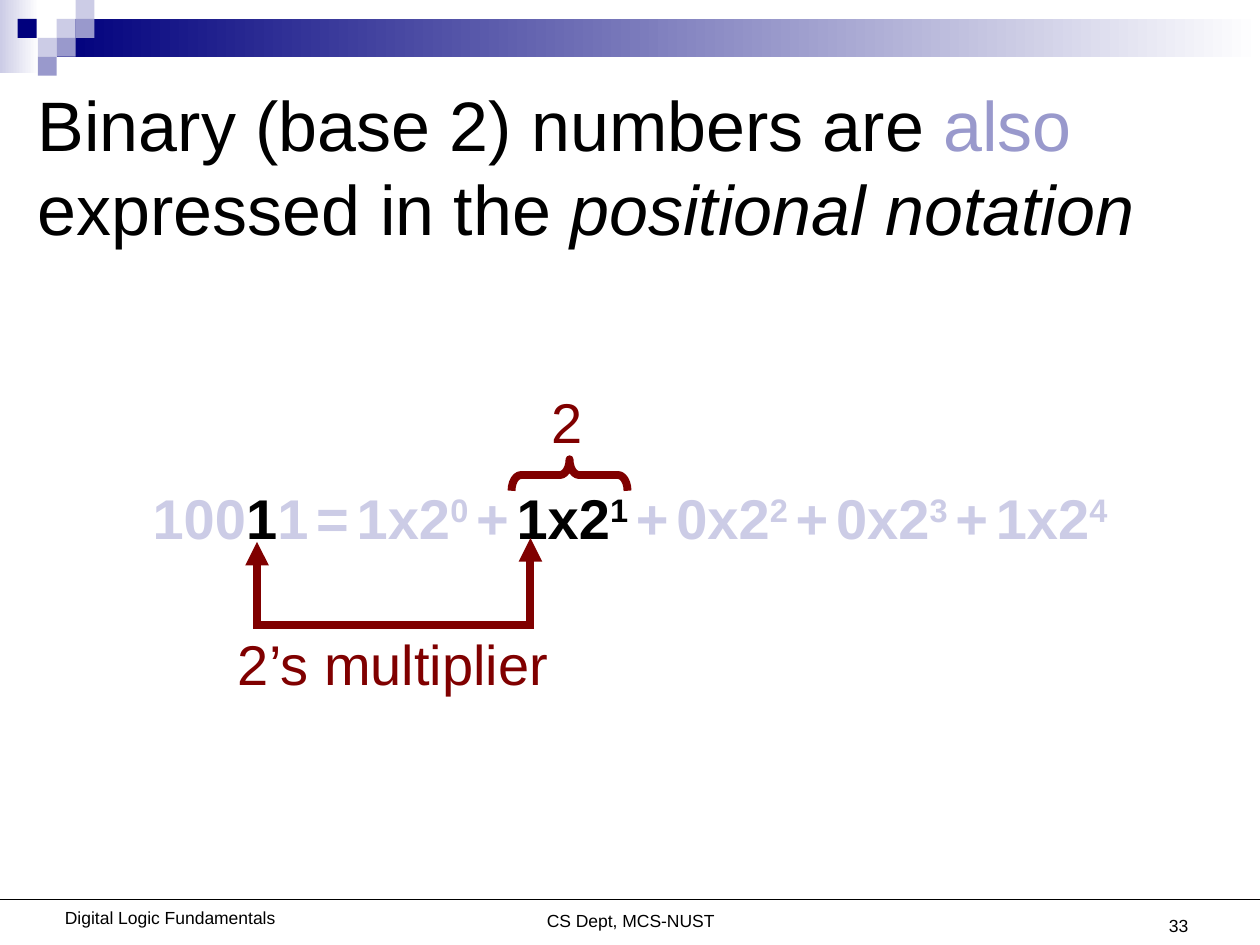
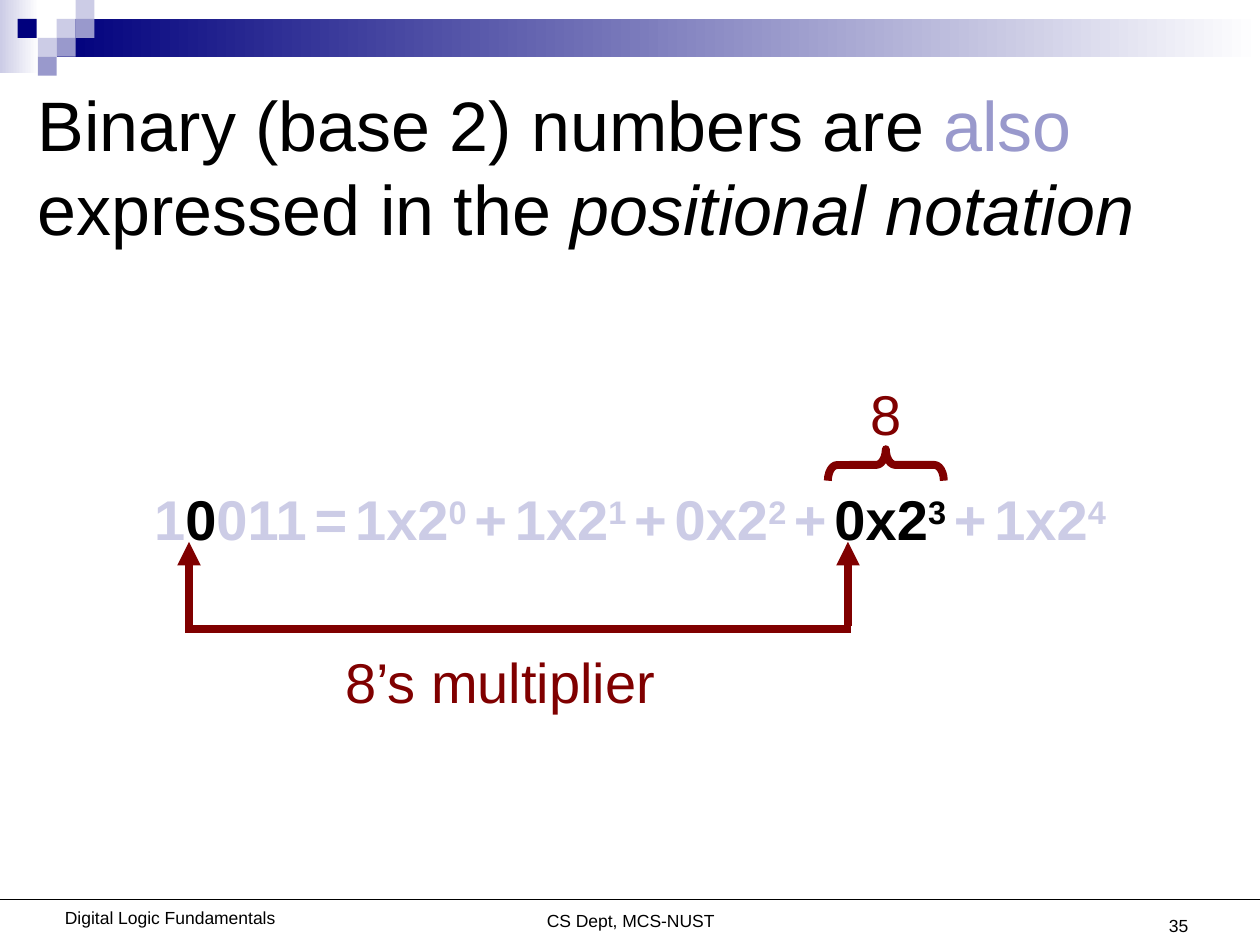
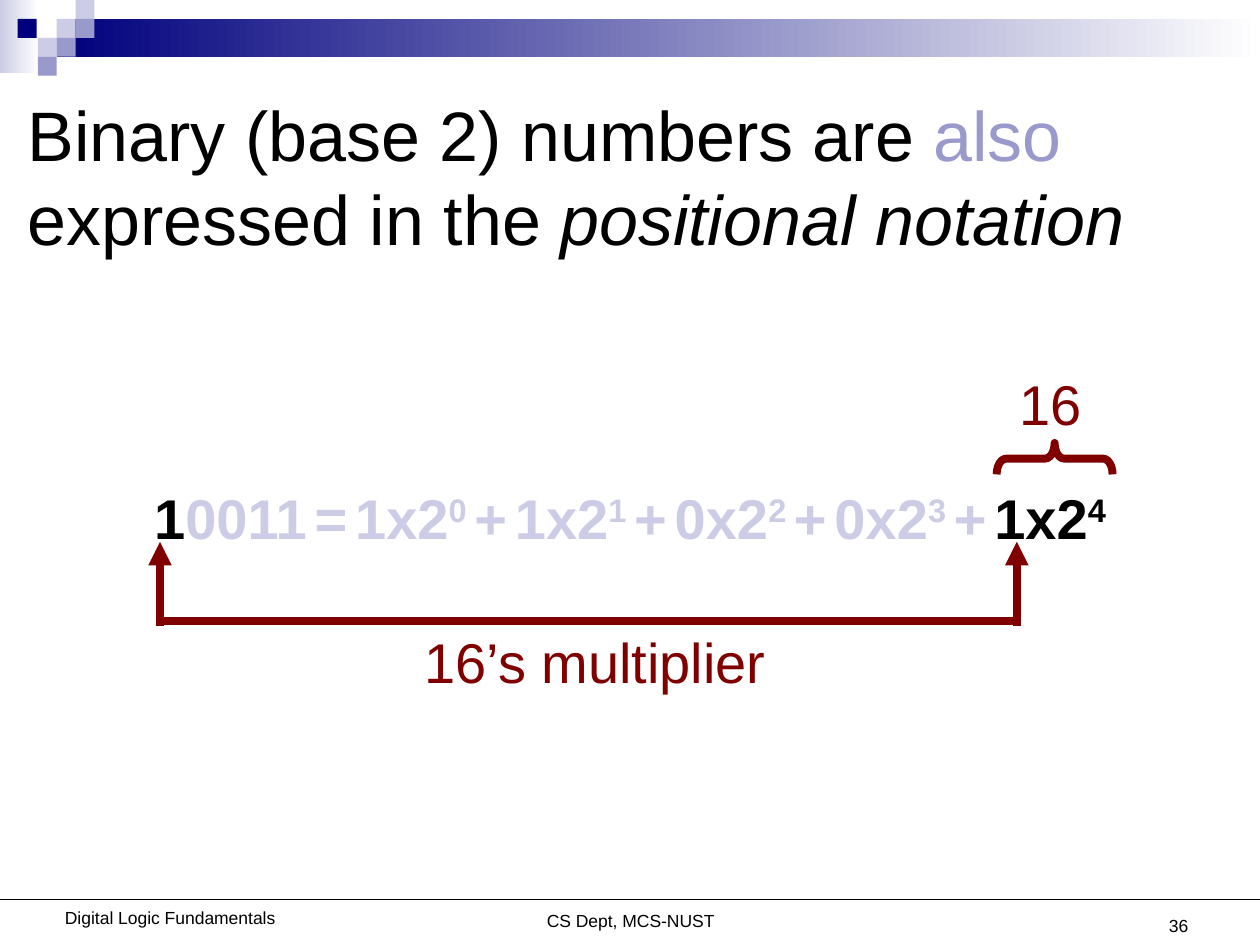
from dataclasses import dataclass

from lxml import etree
from pptx import Presentation
from pptx.dml.color import RGBColor
from pptx.enum.shapes import MSO_CONNECTOR, MSO_SHAPE
from pptx.enum.text import MSO_ANCHOR, MSO_AUTO_SIZE, PP_ALIGN
from pptx.oxml.ns import qn
from pptx.util import Inches, Pt

LEFT, CENTER, RIGHT = PP_ALIGN.LEFT, PP_ALIGN.CENTER, PP_ALIGN.RIGHT
TOP, MIDDLE, BOTTOM = MSO_ANCHOR.TOP, MSO_ANCHOR.MIDDLE, MSO_ANCHOR.BOTTOM
RECT, BRACE = MSO_SHAPE.RECTANGLE, MSO_SHAPE.LEFT_BRACE
STRAIGHT = MSO_CONNECTOR.STRAIGHT
NO_AUTOFIT = MSO_AUTO_SIZE.NONE


@dataclass(frozen=True)
class Theme:
    font: str = "Arial"
    text: RGBColor = RGBColor(0, 0, 0)
    white: RGBColor = RGBColor(0xFF, 0xFF, 0xFF)
    navy: RGBColor = RGBColor(0x00, 0x00, 0x7D)
    accent: RGBColor = RGBColor(0x99, 0x99, 0xCC)
    pale: RGBColor = RGBColor(0xCC, 0xCC, 0xE6)
    mark: RGBColor = RGBColor(0x80, 0, 0)
    title_size: int = 40
    math_size: int = 32
    gap_size: int = 16
    footer_size: int = 10
    mark_width: float = 4.5


T = Theme()


def write(sp, runs, box, size, color=T.text, bold=False, align=LEFT, anchor=TOP, wrap=True):
    """Place sp and fill it; runs is a string or a list of (text, overrides)."""
    sp.left, sp.top, sp.width, sp.height = [Inches(v) for v in box]
    tf = sp.text_frame
    tf.auto_size, tf.word_wrap, tf.vertical_anchor = NO_AUTOFIT, wrap, anchor
    p = tf.paragraphs[0]
    p.alignment = align
    for text, fmt in [(runs, {})] if isinstance(runs, str) else runs:
        r = p.add_run()
        r.text = text
        r.font.name, r.font.bold = T.font, bold
        r.font.size = Pt(fmt.get("size", size))
        r.font.color.rgb = fmt.get("color", color)
        if fmt.get("italic"):
            r.font.italic = True
        if fmt.get("sup"):
            r._r.get_or_add_rPr().set("baseline", "30000")


def add_line(s, x1, y1, x2, y2, color, width, arrow=False):
    line = s.shapes.add_connector(STRAIGHT, Inches(x1), Inches(y1), Inches(x2), Inches(y2))
    line.line.color.rgb, line.line.width = color, Pt(width)
    if arrow:
        etree.SubElement(line.line._get_or_add_ln(), qn("a:tailEnd"), type="triangle")
    etree.SubElement(line.element.spPr, qn("a:effectLst"))


prs = Presentation()
prs.slide_width, prs.slide_height = Inches(10), Inches(7.5)
layout = prs.slide_layouts[5]
for ph in list(layout.placeholders)[1:]:
    ph.element.getparent().remove(ph.element)

# Shared band, squares and footer, drawn on the first slide and moved to the layout
s = prs.slides.add_slide(layout)
U = 0.15
decor = [
    ((0, 0, 0.31, 0.58), T.pale, True),
    ((3 * U, U, 10 - 3 * U, 2 * U), T.navy, True),
    ((0.14, U, U, U), T.navy, False),
]
squares = [(3, 1, T.pale), (4, 0, T.pale), (4, 1, T.accent),
           (2, 2, T.pale), (3, 2, T.accent), (2, 3, T.accent)]
decor += [((col * U, row * U, U, U), color, False) for col, row, color in squares]
for box, color, fades in decor:
    sp = s.shapes.add_shape(RECT, *[Inches(v) for v in box])
    sp.shadow.inherit = False
    sp.line.fill.background()
    if fades:
        sp.fill.gradient()
        sp.fill.gradient_angle = 0
        for stop, rgb, pos in zip(sp.fill.gradient_stops, (color, T.white), (0, 1)):
            stop.color.rgb, stop.position = rgb, pos
    else:
        sp.fill.solid()
        sp.fill.fore_color.rgb = color
for text, box in [("CS Dept, MCS-NUST", (2.92, 7.17, 4.17, 0.27)),
                  ("Digital Logic Fundamentals", (0.35, 7.15, 2, 0.27))]:
    write(s.shapes.add_textbox(0, 0, 0, 0), text, box, T.footer_size, align=CENTER)
add_line(s, 0, 7.14, 10, 7.14, T.text, 0.75)
for sp in list(s.shapes)[1:]:
    layout.shapes.element.append(sp.element)

# One entry per slide: power is the bit explained, arrows are (x, bottom, tip),
# bar is (x1, x2, y), brace is its centre, label and value are box corners
DIGITS = "10011"
BRACE_W, BRACE_H = 0.25, 0.92
pages = [
    dict(number=33, power=1, title=(0.2, 0.69), math_top=3.79,
         arrows=[(2.04, 4.97, 4.3), (4.21, 4.94, 4.27)], bar=(2.01, 4.24, 4.96),
         label=(1.79, 4.95, 2.67), brace=(4.52, 3.77), value=(4.28, 3.03, 0.45)),
    dict(number=35, power=3, title=(0.2, 0.69), math_top=3.8,
         arrows=[(1.5, 4.97, 4.3), (6.73, 4.97, 4.3)], bar=(1.47, 6.75, 4.99),
         label=(2.64, 5.09, 2.67), brace=(7.03, 3.69), value=(6.81, 2.96, 0.45)),
    dict(number=36, power=4, title=(0.12, 0.77), math_top=3.79,
         arrows=[(1.27, 4.97, 4.3), (8.07, 4.97, 4.3)], bar=(1.3, 8.07, 4.93),
         label=(3.27, 4.93, 2.92), brace=(8.37, 3.64), value=(7.99, 2.88, 0.69)),
]
title_runs = [("Binary (base 2) numbers are ", {}), ("also", {"color": T.accent}),
              (" expressed in the ", {}), ("positional notation", {"italic": True})]

for i, page in enumerate(pages):
    if i:
        s = prs.slides.add_slide(layout)
    power = page["power"]

    # Title and slide number
    write(s.shapes.title, title_runs, (*page["title"], 10, 1.25), T.title_size, anchor=MIDDLE)
    write(s.shapes.add_textbox(0, 0, 0, 0), str(page["number"]), (7.2, 6.98, 2.33, 0.5),
          T.footer_size, align=RIGHT, anchor=BOTTOM)

    # Expansion, with the explained digit and term in black
    at = len(DIGITS) - 1 - power
    parts = [(DIGITS[:at], {}), (DIGITS[at], {"color": T.text}), (DIGITS[at + 1:], {})]
    runs = [part for part in parts if part[0]]
    gap = (" ", {"size": T.gap_size})
    for n, digit in enumerate(reversed(DIGITS)):
        color = T.text if n == power else T.pale
        runs += [gap, ("+" if n else "=", {}), gap,
                 (f"{digit}x2", {"color": color}), (str(n), {"color": color, "sup": True})]
    write(s.shapes.add_textbox(0, 0, 0, 0), runs, (0, page["math_top"], 10, 0.64),
          T.math_size, color=T.pale, bold=True, align=CENTER)

    # Arrows joined by a bar
    for x, bottom, tip in page["arrows"]:
        add_line(s, x, bottom, x, tip, T.mark, T.mark_width, arrow=True)
    x1, x2, y = page["bar"]
    add_line(s, x1, y, x2, y, T.mark, T.mark_width)

    # Brace over the term
    cx, cy = page["brace"]
    sp = s.shapes.add_shape(BRACE, Inches(cx - BRACE_W / 2), Inches(cy - BRACE_H / 2),
                            Inches(BRACE_W), Inches(BRACE_H))
    sp.rotation = 90
    sp.adjustments[0] = 0.3
    sp.shadow.inherit = False
    sp.fill.background()
    sp.line.color.rgb, sp.line.width = T.mark, Pt(T.mark_width)

    # Multiplier label and value
    for text, key in [(f"{2 ** power}’s multiplier", "label"), (str(2 ** power), "value")]:
        write(s.shapes.add_textbox(0, 0, 0, 0), text, (*page[key], 0.64),
              T.math_size, color=T.mark, wrap=False)

prs.save("out.pptx")
